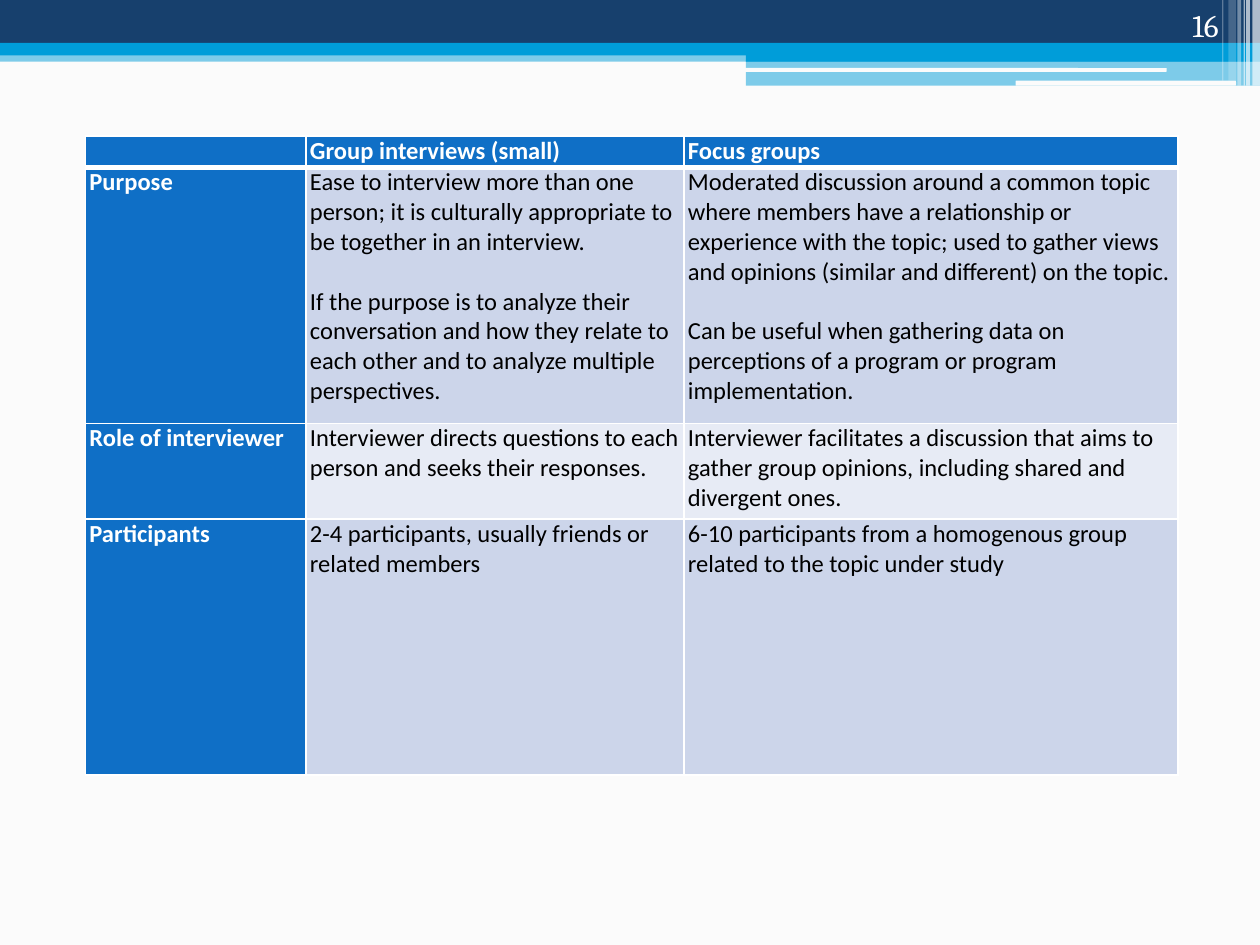
from pptx import Presentation
from pptx.dml.color import RGBColor
from pptx.enum.shapes import MSO_SHAPE as Kind
from pptx.enum.text import MSO_ANCHOR as Anchor, PP_ALIGN as Align
from pptx.oxml import parse_xml
from pptx.oxml.ns import nsdecls, qn
from pptx.util import Inches, Pt

NAVY = RGBColor(0x17, 0x40, 0x6D)
CYAN = RGBColor(0x00, 0x9D, 0xD9)
BLUE = RGBColor(0x0F, 0x6F, 0xC6)
DARK = RGBColor(0xCC, 0xD5, 0xEA)
LIGHT = RGBColor(0xE7, 0xEB, 0xF5)
PAPER = RGBColor(0xFB, 0xFB, 0xFB)
WHITE = RGBColor(0xFF, 0xFF, 0xFF)
BLACK = RGBColor(0x00, 0x00, 0x00)

BANDS = [
    (0, 0.4, 10, 0.09, CYAN, 50),
    (0, 0, 10, 0.34, NAVY, 100),
    (0, 0.34, 10, 0.1, CYAN, 100),
    (5.92, 0.39, 4.08, 0.1, CYAN, 100),
    (5.92, 0.48, 4.08, 0.2, CYAN, 50),
]
LINES = [(5.91, 0.54, 3.35, 0.03), (8.06, 0.64, 1.75, 0.04)]
STRIPES = [
    (9.94, 0.06, 0.68, 65),
    (9.89, 0.03, 0.68, 65),
    (9.87, 0.01, 0.68, 60),
    (9.82, 0.03, 0.68, 40),
    (9.75, 0.06, 0.64, 20),
    (9.7, 0.01, 0.64, 30),
]

COLS = [1.75, 3, 3.92]
ROWS = [0.25, 2.03, 0.76, 2.03]
CELLS = [
    ["", "Group interviews (small)", "Focus groups"],
    [
        "Purpose",
        "Ease to interview more than one person; it is culturally appropriate "
        "to be together in an interview.\n"
        "If the purpose is to analyze their conversation and how they relate "
        "to each other and to analyze multiple perspectives.",
        "Moderated discussion around a common topic where members have a "
        "relationship or experience with the topic; used to gather views and "
        "opinions (similar and different) on the topic.\n"
        "Can be useful when gathering data on perceptions of a program or "
        "program implementation.",
    ],
    [
        "Role of interviewer",
        "Interviewer directs questions to each person and seeks their responses.",
        "Interviewer facilitates a discussion that aims to gather group "
        "opinions, including shared and divergent ones.",
    ],
    [
        "Participants",
        "2-4 participants, usually friends or related members",
        "6-10 participants from a homogenous group related to the topic under study",
    ],
]


def add_bar(slide, box, color, alpha=100, kind=Kind.RECTANGLE):
    """Add a plain bar without outline, with opacity in percent."""
    bar = slide.shapes.add_shape(kind, *map(Inches, box))
    bar.shadow.inherit = False
    bar.line.fill.background()
    bar.fill.solid()
    bar.fill.fore_color.rgb = color
    if alpha < 100:
        tint = bar._element.spPr.find(qn("a:solidFill"))[0]
        tint.append(parse_xml(f'<a:alpha {nsdecls("a")} val="{alpha * 1000}"/>'))


def add_header(slide, left, top):
    """Draw the banner from its top left corner."""
    for x, y, w, h, color, alpha in BANDS:
        add_bar(slide, (left + x, top + y, w, h), color, alpha)
    for x, y, w, h in LINES:
        add_bar(slide, (left + x, top + y, w, h), PAPER, kind=Kind.ROUNDED_RECTANGLE)
    for x, w, h, alpha in STRIPES:
        add_bar(slide, (left + x, top, w, h), WHITE, alpha)


def add_number(slide, box, text):
    """Write the page number in the banner."""
    frame = slide.shapes.add_textbox(*map(Inches, box)).text_frame
    frame.word_wrap = True
    frame.vertical_anchor = Anchor.BOTTOM
    para = frame.paragraphs[0]
    para.text = text
    para.alignment = Align.RIGHT
    para.font.name, para.font.size = "Cambria", Pt(18)
    para.font.color.rgb = WHITE


def add_edges(cell, row):
    """Give a cell white borders, thick below the header row."""
    props = cell._tc.get_or_add_tcPr()
    widths = {"L": 1, "R": 1, "T": 3 if row == 1 else 1, "B": 3 if row == 0 else 1}
    for side, width in widths.items():
        props.append(parse_xml(
            f'<a:ln{side} {nsdecls("a")} w="{Pt(width)}"><a:solidFill>'
            f'<a:srgbClr val="{WHITE}"/></a:solidFill></a:ln{side}>'))


def fill_cell(cell, row, col, text):
    """Style one cell by its place and write its text."""
    head = row == 0 or col == 0
    add_edges(cell, row)
    cell.fill.solid()
    cell.fill.fore_color.rgb = BLUE if head else DARK if row % 2 else LIGHT
    cell.margin_left = cell.margin_right = Inches(0.03)
    cell.margin_top = cell.margin_bottom = 0
    cell.text = text
    for i, para in enumerate(cell.text_frame.paragraphs):
        para.space_before = Pt(17 if i else 0)
        para.font.name, para.font.size = "Calibri", Pt(14)
        para.font.bold = head
        para.font.color.rgb = WHITE if head else BLACK


def add_grid(slide, left, top):
    """Build the comparison table from its top left corner."""
    box = map(Inches, (left, top, sum(COLS), sum(ROWS)))
    table = slide.shapes.add_table(len(ROWS), len(COLS), *box).table
    for col, width in zip(table.columns, COLS):
        col.width = Inches(width)
    for r, height in enumerate(ROWS):
        table.rows[r].height = Inches(height)
        for c, text in enumerate(CELLS[r]):
            fill_cell(table.cell(r, c), r, c, text)


def main():
    """Build the slide and save it."""
    deck = Presentation()
    deck.slide_width, deck.slide_height = Inches(10), Inches(7.5)
    slide = deck.slides.add_slide(deck.slide_layouts[6])
    slide.background.fill.solid()
    slide.background.fill.fore_color.rgb = PAPER
    add_header(slide, 0, 0)
    add_grid(slide, 0.68, 1.08)
    add_number(slide, (8.94, 0, 0.83, 0.4), "16")
    deck.save("out.pptx")


if __name__ == "__main__":
    main()
